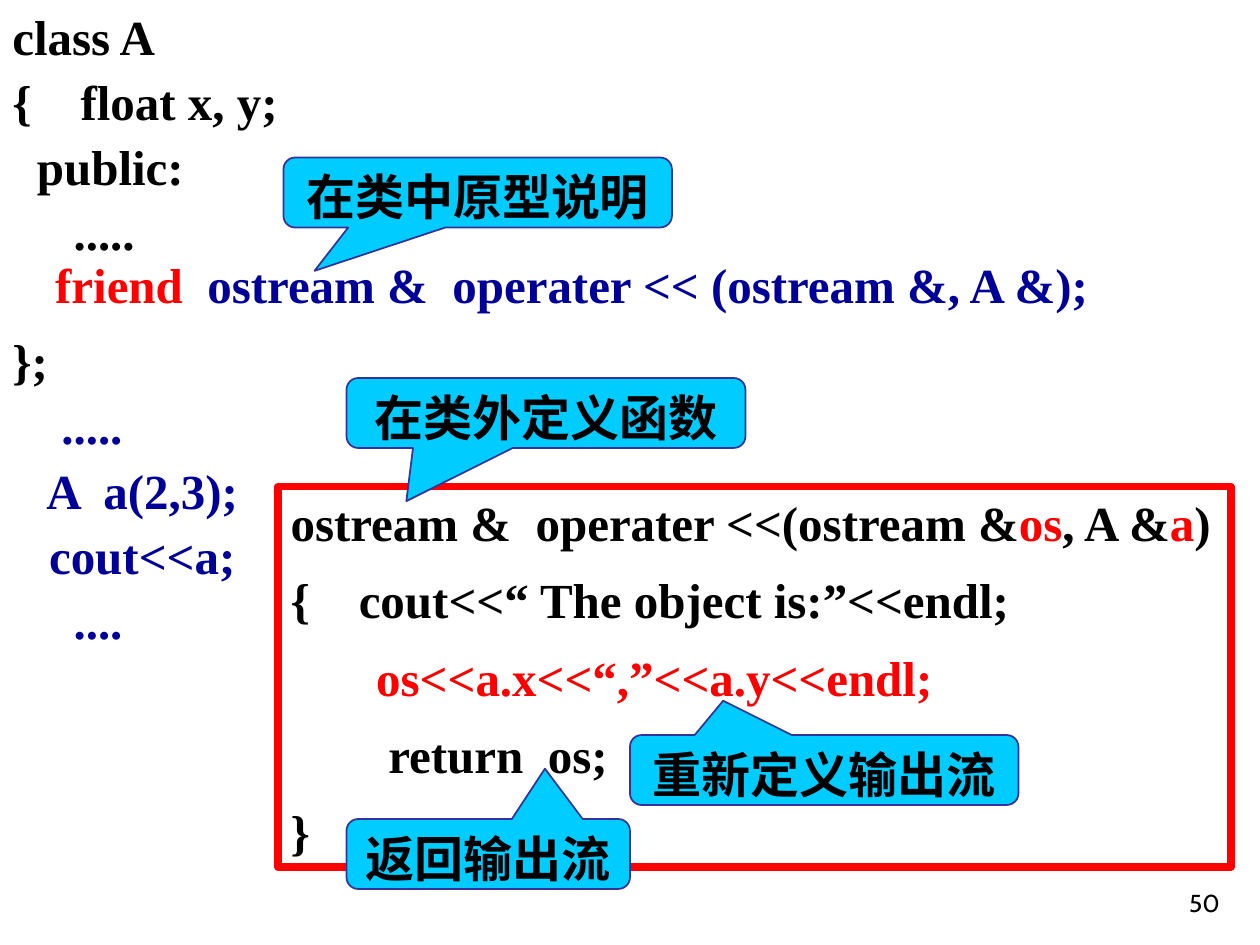
import pptx
import pptx.dml.color
import pptx.enum.shapes
import pptx.enum.text
import pptx.util

Pt = pptx.util.Pt
ALIGN = pptx.enum.text.PP_ALIGN
ANCHOR = pptx.enum.text.MSO_ANCHOR
SHAPE = pptx.enum.shapes.MSO_SHAPE
BLACK, RED, NAVY = "000000", "FF0000", "000099"


def rgb(value):
    return pptx.dml.color.RGBColor.from_string(value)


def write_lines(tf, lines, space=0, spacing=None, align=ALIGN.LEFT):
    """Each line is a list of (text, colour) runs."""
    tf.vertical_anchor = ANCHOR.TOP
    for i, runs in enumerate(lines):
        p = tf.paragraphs[0] if i == 0 else tf.add_paragraph()
        p.alignment = align
        p.space_before = Pt(space if i else 0)
        if spacing:
            p.line_spacing = spacing
        p.font.name = "Times New Roman"
        p.font.size = Pt(28)
        p.font.bold = True
        for text, color in runs:
            r = p.add_run()
            r.text = text
            r.font.color.rgb = rgb(color)


prs = pptx.Presentation()
prs.slide_width, prs.slide_height = Pt(720), Pt(540)
s = prs.slides.add_slide(prs.slide_layouts[6])

# Page number
tf = s.shapes.add_textbox(Pt(554.4), Pt(491.8), Pt(149.8), Pt(36)).text_frame
tf.word_wrap = True
tf.vertical_anchor = ANCHOR.BOTTOM
p = tf.paragraphs[0]
p.text = "50"
p.alignment = ALIGN.RIGHT
p.font.name = "Cabin"
p.font.size = Pt(14)
p.font.color.rgb = rgb(BLACK)

# Class code, with a gap before the closing brace for the friend line
tf = s.shapes.add_textbox(0, 0, Pt(221.8), Pt(375)).text_frame
tf.word_wrap = True
write_lines(tf, [
    [("class A", BLACK)],
    [("{    float x, y;", BLACK)],
    [("  public:", BLACK)],
    [("     .....", BLACK)],
    [("};", BLACK)],
    [("    .....", NAVY)],
    [("   A  a(2,3);", NAVY)],
    [("   cout<<a;", NAVY)],
    [("     ....", NAVY)],
], space=3.5)
tf.paragraphs[4].space_before = Pt(40.5)

# Friend declaration
tf = s.shapes.add_textbox(Pt(24.5), Pt(131.8), Pt(609), Pt(51)).text_frame
tf.word_wrap = False
write_lines(tf, [
    [("friend", RED), ("  ostream &  operater << (ostream &, A &);", NAVY)],
], spacing=1.3)

# Operator definition in a red frame
sp = s.shapes.add_shape(SHAPE.RECTANGLE, Pt(159), Pt(278), Pt(544.3), Pt(217.4))
sp.shadow.inherit = False
sp.fill.background()
sp.line.color.rgb = rgb(RED)
sp.line.width = Pt(4.5)
sp.text_frame.word_wrap = False
write_lines(sp.text_frame, [
    [("ostream &  operater <<(ostream &", BLACK), ("os", RED),
     (", A &", BLACK), ("a", RED), (")", BLACK)],
    [("{    cout<<“ The object is:”<<endl;", BLACK)],
    [("       os<<a.x<<“,”<<a.y<<endl;", RED)],
    [("        return  os;", BLACK)],
    [("}", BLACK)],
], space=10.5)

# Callouts: text, left, top, width, pointer x and y
callouts = [
    ("重新定义输出流", 360, 420, 222, -0.26, -0.99),
    ("在类中原型说明", 162, 90, 222, -0.42, 1.12),
    ("在类外定义函数", 198, 216, 228, -0.35, 1.26),
    ("返回输出流", 198, 468, 162, 0.2, -1.22),
]
for text, left, top, width, tip_x, tip_y in callouts:
    sp = s.shapes.add_shape(SHAPE.ROUNDED_RECTANGULAR_CALLOUT,
                            Pt(left), Pt(top), Pt(width), Pt(40))
    sp.shadow.inherit = False
    sp.adjustments[0], sp.adjustments[1] = tip_x, tip_y
    sp.fill.solid()
    sp.fill.fore_color.rgb = rgb("00CCFF")
    sp.line.color.rgb = rgb("333399")
    sp.line.width = Pt(1)
    tf = sp.text_frame
    tf.word_wrap = True
    tf.margin_left = tf.margin_right = Pt(1.5)
    tf.margin_top = tf.margin_bottom = 0
    write_lines(tf, [[(text, BLACK)]], spacing=1.1, align=ALIGN.CENTER)

prs.save("out.pptx")
